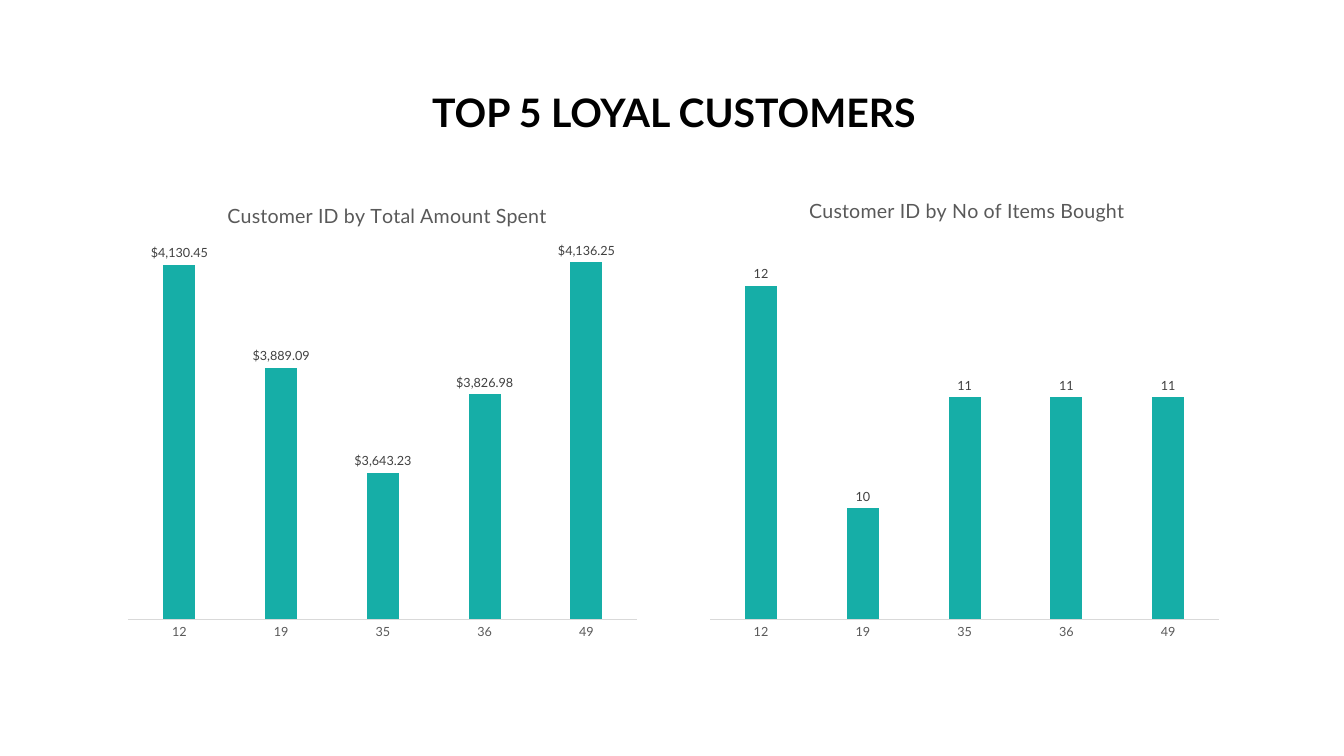
import pptx
import pptx.chart.data
import pptx.dml.color
import pptx.enum.chart
import pptx.enum.text
import pptx.oxml
import pptx.oxml.ns
import pptx.util

Cm = pptx.util.Cm
Pt = pptx.util.Pt
RGBColor = pptx.dml.color.RGBColor

FONT = "Lato"
BLACK = RGBColor(0x00, 0x00, 0x00)
TEAL = RGBColor(0x16, 0xAE, 0xA7)
GREY = RGBColor(0x59, 0x59, 0x59)
DARK_GREY = RGBColor(0x40, 0x40, 0x40)
LIGHT_GREY = RGBColor(0xD9, 0xD9, 0xD9)

CUSTOMER_IDS = ["12", "19", "35", "36", "49"]
MARGIN, CHART_TOP = 2.97, 4.37
CHART_WIDTH, CHART_HEIGHT, CHART_STEP = 13.36, 11.96, 14.66
CHARTS = [
    dict(title="Customer ID by Total Amount Spent",
         values=[4130.45, 3889.09, 3643.23, 3826.98, 4136.25],
         number_format='"$"#,##0.00', scale=(3300, 4200),
         title_at=(0.2, 0.05), plot_at=(0.02, 0.13, 0.96, 0.81)),
    dict(title="Customer ID by No of Items Bought",
         values=[12, 10, 11, 11, 11],
         number_format="General", scale=(9, 12.5),
         title_at=(0.2, 0.04), plot_at=(0.02, 0.12, 0.96, 0.82)),
]


def format_font(font, size, color, bold=False):
    font.name, font.size, font.bold = FONT, Pt(size), bold
    font.color.rgb = color


def put_text(tf, text, size, color, bold=False, line_spacing=None):
    p = tf.paragraphs[0]
    p.alignment = pptx.enum.text.PP_ALIGN.CENTER
    p.line_spacing = line_spacing
    r = p.add_run()
    r.text = text
    format_font(r.font, size, color, bold)


def set_layout(element, index, fractions, inner=False):
    """Place a chart part by fractions (x, y, width, height) of the chart."""
    old = element.find(pptx.oxml.ns.qn("c:layout"))
    if old is not None:
        element.remove(old)
    names = ("x", "y", "w", "h")[:len(fractions)]
    target = '<c:layoutTarget val="inner"/>' if inner else ""
    modes = "".join(f'<c:{n}Mode val="edge"/>' for n in names[:2])
    sizes = "".join(f'<c:{n} val="{v}"/>' for n, v in zip(names, fractions))
    element.insert(index, pptx.oxml.parse_xml(
        f'<c:layout {pptx.oxml.ns.nsdecls("c")}><c:manualLayout>'
        f"{target}{modes}{sizes}</c:manualLayout></c:layout>"))


def add_heading(s, left, top, width, height):
    tf = s.shapes.add_textbox(Cm(left), Cm(top), Cm(width), Cm(height)).text_frame
    tf.word_wrap = True
    tf.vertical_anchor = pptx.enum.text.MSO_ANCHOR.BOTTOM
    put_text(tf, "TOP 5 LOYAL CUSTOMERS", 28, BLACK, bold=True, line_spacing=0.9)


def add_customer_chart(s, left, top, width, height, *, title, values,
                       number_format, scale, title_at, plot_at):
    data = pptx.chart.data.CategoryChartData(number_format=number_format)
    data.categories = CUSTOMER_IDS
    data.add_series("Series 1", values)
    chart = s.shapes.add_chart(
        pptx.enum.chart.XL_CHART_TYPE.COLUMN_CLUSTERED,
        Cm(left), Cm(top), Cm(width), Cm(height), data).chart
    format_font(chart.font, 10, BLACK)
    chart.has_legend = False
    chart.has_title = True
    put_text(chart.chart_title.text_frame, title, 14, GREY)
    set_layout(chart.chart_title._element, 1, title_at)
    set_layout(chart._chartSpace.chart.plotArea, 0, plot_at, inner=True)

    axis = chart.category_axis
    axis.major_tick_mark = pptx.enum.chart.XL_TICK_MARK.NONE
    axis.format.line.color.rgb = LIGHT_GREY
    axis.format.line.width = Pt(0.75)
    format_font(axis.tick_labels.font, 9, GREY)

    axis = chart.value_axis
    axis.visible = False
    axis.has_major_gridlines = False
    axis.minimum_scale, axis.maximum_scale = scale

    plot = chart.plots[0]
    plot.gap_width, plot.overlap = 219, -27
    plot.vary_by_categories = False
    series = plot.series[0]
    series.format.fill.solid()
    series.format.fill.fore_color.rgb = TEAL
    labels = series.data_labels
    labels.show_value = True
    labels.position = pptx.enum.chart.XL_LABEL_POSITION.OUTSIDE_END
    labels.number_format = number_format
    labels.number_format_is_linked = False
    format_font(labels.font, 9, DARK_GREY)


def main():
    prs = pptx.Presentation()
    prs.slide_width, prs.slide_height = Cm(33.87), Cm(19.05)
    s = prs.slides.add_slide(prs.slide_layouts[6])
    add_heading(s, MARGIN, 1.83, CHART_STEP + CHART_WIDTH, 1.73)
    for i, chart in enumerate(CHARTS):
        add_customer_chart(s, MARGIN + i * CHART_STEP, CHART_TOP,
                           CHART_WIDTH, CHART_HEIGHT, **chart)
    prs.save("out.pptx")


if __name__ == "__main__":
    main()
